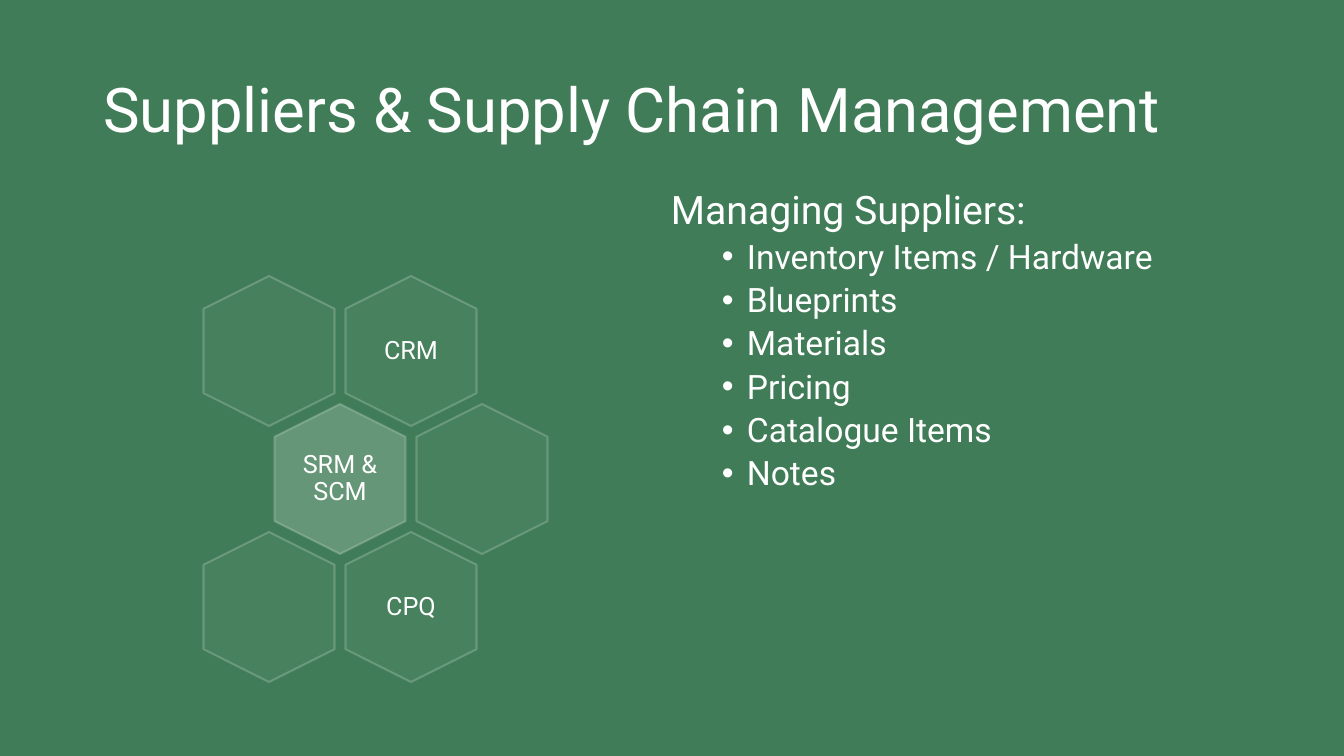
from lxml import etree
from pptx import Presentation
from pptx.dml.color import RGBColor
from pptx.enum.shapes import MSO_SHAPE
from pptx.enum.text import MSO_ANCHOR, MSO_AUTO_SIZE, PP_ALIGN
from pptx.oxml.ns import qn
from pptx.util import Emu, Pt

HEXAGON = MSO_SHAPE.HEXAGON
MIDDLE = MSO_ANCHOR.MIDDLE
LEFT, CENTER = PP_ALIGN.LEFT, PP_ALIGN.CENTER
NO_AUTOFIT = MSO_AUTO_SIZE.NONE

GREEN = RGBColor(0x40, 0x7C, 0x57)
WHITE = RGBColor(0xFF, 0xFF, 0xFF)
PALE_GREY = RGBColor(0xF2, 0xF2, 0xF2)
FONT = "Roboto"

HEX_LENGTH, HEX_WIDTH = 150, 131
HALF_STEP, ROW_STEP = 71, 128
FIRST_X, FIRST_Y = 269, 351
LABEL_WIDTH, LABEL_HEIGHT, LABEL_INSET = 90, 104, 7

# Each cell: row, half steps from the left, label, fill colour, fill opacity in percent
CELLS = [
    (0, 2, "CRM", WHITE, 4),
    (0, 0, "", PALE_GREY, 4),
    (1, 1, "SRM & SCM", WHITE, 20),
    (1, 3, "", WHITE, 4),
    (2, 2, "CPQ", WHITE, 4),
    (2, 0, "", WHITE, 4),
]
SUPPLIER_RECORDS = [
    "Inventory Items / Hardware",
    "Blueprints",
    "Materials",
    "Pricing",
    "Catalogue Items",
    "Notes",
]


def px(length):
    """Turn pixels into EMU."""
    return Emu(round(length * 914400 / 100.8))


def box(left, top, width, height):
    """Return a frame given in pixels as EMU lengths."""
    return px(left), px(top), px(width), px(height)


def centred_box(x, y, width, height):
    """Return the frame of the given size around a centre point."""
    return box(x - width / 2, y - height / 2, width, height)


def style_paragraph(paragraph, size, align=LEFT, before=0):
    """Format a paragraph and its runs in the slide's white type."""
    paragraph.alignment = align
    paragraph.line_spacing = 0.9
    paragraph.space_before = Pt(before)
    for run in paragraph.runs:
        run.font.name = FONT
        run.font.size = Pt(size)
        run.font.color.rgb = WHITE


def set_opacity(fill_format, percent):
    """Make a solid fill partly transparent."""
    colour = fill_format._xPr.find(qn("a:solidFill"))[0]
    etree.SubElement(colour, qn("a:alpha")).set("val", str(percent * 1000))


def add_bullet(paragraph):
    """Give a paragraph a hanging round bullet."""
    properties = paragraph._p.get_or_add_pPr()
    properties.set("marL", str(px(76)))
    properties.set("indent", str(-px(25)))
    etree.SubElement(properties, qn("a:buFont")).set("typeface", "Arial")
    etree.SubElement(properties, qn("a:buChar")).set("char", "•")


def add_title(slide, wording):
    """Place and format the title."""
    title = slide.shapes.title
    title.left, title.top, title.width, title.height = box(93, 40, 1159, 146)
    frame = title.text_frame
    frame.text = wording
    frame.auto_size = NO_AUTOFIT
    frame.vertical_anchor = MIDDLE
    style_paragraph(frame.paragraphs[0], 44)


def add_supplier_list(slide, heading, records):
    """Add the heading with its bulleted records."""
    frame = slide.shapes.add_textbox(*box(661, 186, 572, 406)).text_frame
    frame.word_wrap = True
    frame.text = heading
    style_paragraph(frame.paragraphs[0], 28, before=10)
    for record in records:
        item = frame.add_paragraph()
        item.text = record
        style_paragraph(item, 24, before=5)
        add_bullet(item)


def add_hexagon(slide, x, y, colour, opacity):
    """Add an upright translucent hexagon around a centre point."""
    hexagon = slide.shapes.add_shape(HEXAGON, *centred_box(x, y, HEX_LENGTH, HEX_WIDTH))
    hexagon.rotation = 90
    hexagon.adjustments[0] = 0.25
    hexagon.shadow.inherit = False
    hexagon.fill.solid()
    hexagon.fill.fore_color.rgb = colour
    set_opacity(hexagon.fill, opacity)
    hexagon.line.width = Pt(1.5)
    hexagon.line.color.rgb = WHITE
    set_opacity(hexagon.line.fill, 20)


def add_label(slide, x, y, wording):
    """Add a label around a centre point."""
    frame = slide.shapes.add_textbox(*centred_box(x, y, LABEL_WIDTH, LABEL_HEIGHT)).text_frame
    frame.word_wrap = True
    frame.vertical_anchor = MIDDLE
    frame.margin_left = frame.margin_right = px(LABEL_INSET)
    frame.margin_top = frame.margin_bottom = px(LABEL_INSET)
    frame.text = wording
    style_paragraph(frame.paragraphs[0], 18, CENTER)


def add_honeycomb(slide):
    """Add the hexagon cells and their labels."""
    for row, half_steps, label, colour, opacity in CELLS:
        x = FIRST_X + half_steps * HALF_STEP
        y = FIRST_Y + row * ROW_STEP
        add_hexagon(slide, x, y, colour, opacity)
        if label:
            add_label(slide, x, y, label)


def main():
    """Build the slide and save it."""
    deck = Presentation()
    deck.slide_width, deck.slide_height = px(1344), px(756)
    slide = deck.slides.add_slide(deck.slide_layouts[5])
    slide.background.fill.solid()
    slide.background.fill.fore_color.rgb = GREEN
    add_title(slide, "Suppliers & Supply Chain Management")
    add_supplier_list(slide, "Managing Suppliers:", SUPPLIER_RECORDS)
    add_honeycomb(slide)
    deck.save("out.pptx")


if __name__ == "__main__":
    main()
